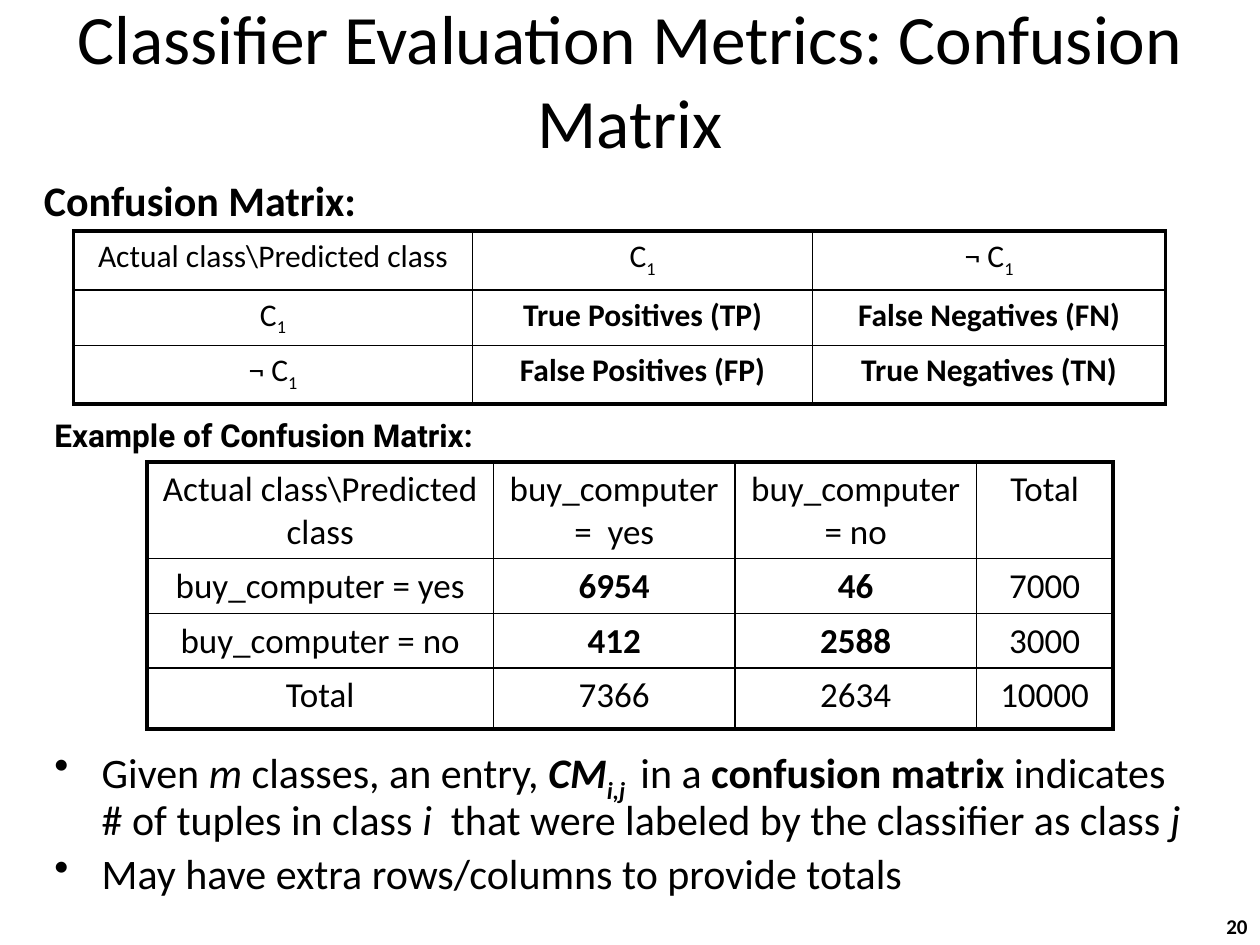
from lxml.etree import SubElement
from pptx import Presentation
from pptx.dml.color import RGBColor
from pptx.enum.text import MSO_ANCHOR as Anchor, PP_ALIGN as Align
from pptx.oxml.ns import qn
from pptx.util import Emu, Pt

PX = 7620
COLORS = {"ink": "000000"}
OUTER, INNER = 2.25, 1


def write_runs(paragraph, runs, size, align, font="Calibri"):
    paragraph.alignment = align
    paragraph.font.size = Pt(size)
    paragraph.font.name = font
    paragraph.font.color.rgb = RGBColor.from_string(COLORS["ink"])
    for text, style in runs:
        run = paragraph.add_run()
        run.text = text
        if "b" in style:
            run.font.bold = True
        if "i" in style:
            run.font.italic = True
        if "s" in style:
            run.font._element.set("baseline", "-25000")


def add_border(cell, side, width):
    line = SubElement(cell._tc.get_or_add_tcPr(), qn(f"a:{side}"), w=str(Pt(width)))
    fill = SubElement(line, qn("a:solidFill"))
    SubElement(fill, qn("a:srgbClr"), val=COLORS["ink"])


presentation = Presentation()
presentation.slide_width = Emu(1200 * PX)
presentation.slide_height = Emu(900 * PX)
slide = presentation.slides.add_slide(presentation.slide_layouts[6])

labels = [
    ((0, 0, 1200, 150), "Classifier Evaluation Metrics: Confusion Matrix", "", 39.6,
     Align.CENTER, Anchor.MIDDLE, "Calibri", True),
    ((30, 160, 342, 60), "Confusion Matrix:", "b", 24,
     Align.LEFT, Anchor.TOP, "Calibri", True),
    ((40, 390, 468, 48), "Example of Confusion Matrix:", "b", 18,
     Align.LEFT, Anchor.TOP, "Roboto", False),
    ((950, 850, 250, 50), "20", "b", 12,
     Align.RIGHT, Anchor.BOTTOM, "Calibri", True),
]
for box, text, style, size, align, anchor, font, wrap in labels:
    shape = slide.shapes.add_textbox(*[Emu(v * PX) for v in box])
    frame = shape.text_frame
    frame.word_wrap = wrap
    frame.vertical_anchor = anchor
    write_runs(frame.paragraphs[0], [(text, style)], size, align, font)

corner = [("Actual class\\Predicted class", "")]
positive = [("C", ""), ("1", "s")]
negative = [("¬ C", ""), ("1", "s")]
definition_rows = [
    [corner, positive, negative],
    [positive, [("True Positives (TP)", "b")], [("False Negatives (FN)", "b")]],
    [negative, [("False Positives (FP)", "b")], [("True Negatives (TN)", "b")]],
]
example_rows = [
    [corner, [("buy_computer =  yes", "")], [("buy_computer = no", "")], [("Total", "")]],
    [[("buy_computer = yes", "")], [("6954", "b")], [("46", "b")], [("7000", "")]],
    [[("buy_computer = no", "")], [("412", "b")], [("2588", "b")], [("3000", "")]],
    [[("Total", "")], [("7366", "")], [("2634", "")], [("10000", "")]],
]
matrices = [
    (70, 220, [380, 324, 336], [56, 50, 56], 18, definition_rows),
    (140, 440, [330, 230, 230, 130], [92, 52, 52, 58], 20, example_rows),
]
for left, top, widths, heights, size, rows in matrices:
    table = slide.shapes.add_table(
        len(heights), len(widths), Emu(left * PX), Emu(top * PX),
        Emu(sum(widths) * PX), Emu(sum(heights) * PX)).table
    table.first_row = False
    table.horz_banding = False
    for column, width in zip(table.columns, widths):
        column.width = Emu(width * PX)
    last_row, last_column = len(heights) - 1, len(widths) - 1
    for r, (height, row) in enumerate(zip(heights, rows)):
        table.rows[r].height = Emu(height * PX)
        for c, runs in enumerate(row):
            cell = table.cell(r, c)
            write_runs(cell.text_frame.paragraphs[0], runs, size, Align.CENTER)
            edges = {"lnL": c == 0, "lnR": c == last_column,
                     "lnT": r == 0, "lnB": r == last_row}
            for side, is_outer in edges.items():
                add_border(cell, side, OUTER if is_outer else INNER)
            cell.fill.background()

bullets = [
    [("Given", ""), (" m", "i"), (" classes, an entry, ", ""), ("CM", "bi"),
     ("i,j ", "bis"), (" in a ", ""), ("confusion matrix", "b"),
     (" indicates # of tuples in class ", ""), ("i", "i"),
     ("  that were labeled by the classifier as class ", ""), ("j", "i")],
    [("May have extra rows/columns to provide totals", "")],
]
body = slide.shapes.add_textbox(*[Emu(v * PX) for v in (40, 706, 1110, 166)])
frame = body.text_frame
frame.word_wrap = True
for index, runs in enumerate(bullets):
    paragraph = frame.add_paragraph() if index else frame.paragraphs[0]
    paragraph.line_spacing = 0.9
    paragraph.space_before = Pt(4.8)
    write_runs(paragraph, runs, 24, Align.LEFT)
    properties = paragraph._p.get_or_add_pPr()
    properties.set("marL", str(45 * PX))
    properties.set("indent", str(-45 * PX))
    bullet = properties.makeelement(qn("a:buChar"), {"char": "•"})
    properties.find(qn("a:defRPr")).addprevious(bullet)

presentation.save("out.pptx")
